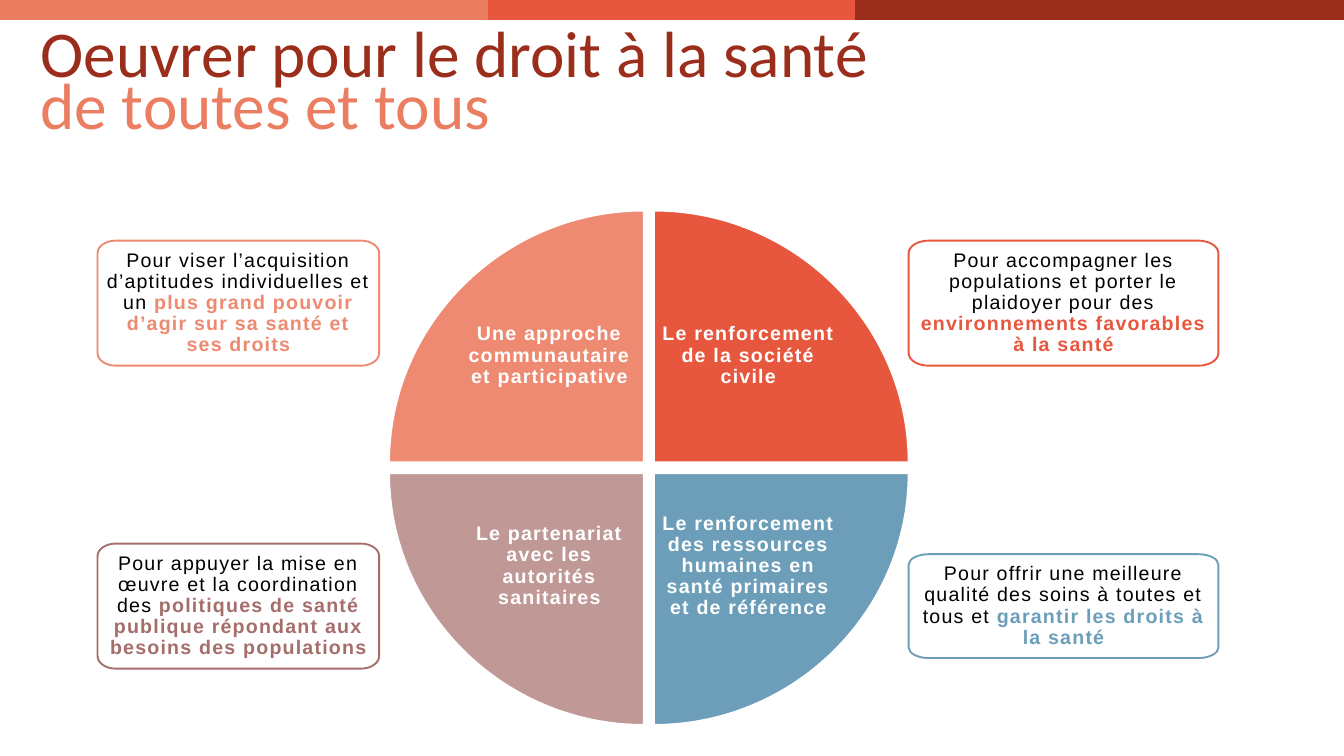
from dataclasses import dataclass

import lxml.etree
import pptx
import pptx.dml.color
import pptx.enum.shapes
import pptx.enum.text
import pptx.oxml.ns
import pptx.util

Pt = pptx.util.Pt
qn = pptx.oxml.ns.qn
Point = tuple[float, float]


@dataclass(frozen=True)
class Theme:
    white: str = "FFFFFF"
    black: str = "000000"
    brick: str = "9B2D1B"
    coral: str = "EB7D61"
    salmon: str = "ED8A71"
    red: str = "E7573E"
    blue: str = "6C9EB9"
    mauve: str = "A56E6B"
    pale_mauve: str = "C09997"
    body_font: str = "Arial"
    title_font: str = "Calibri"
    body_size: float = 21
    title_size: float = 70
    title_spacing: float = 56
    letter_spacing: float = 1.3


@dataclass(frozen=True)
class Card:
    left: float
    top: float
    width: float
    height: float
    color: str
    lead: str
    emphasis: str


@dataclass(frozen=True)
class Quarter:
    side_x: int
    side_y: int
    color: str
    text: str
    lift: float = 0


@dataclass(frozen=True)
class Band:
    start: float
    end: float
    color: str


THEME = Theme()

BANDS = [
    Band(0, 555, THEME.coral),
    Band(885, 1440, THEME.brick),
    Band(522.7, 916.6, THEME.red),
]

CARDS = [
    Card(973.6, 257.8, 331.8, 134, THEME.red,
         "Pour accompagner les populations et porter le plaidoyer pour des ",
         "environnements favorables à la santé"),
    Card(104.5, 257.8, 301.7, 134, THEME.salmon,
         "Pour viser l’acquisition d’aptitudes individuelles et un ",
         "plus grand pouvoir d’agir sur sa santé et ses droits"),
    Card(973.6, 593.8, 331.8, 111.3, THEME.blue,
         "Pour offrir une meilleure qualité des soins à toutes et tous et ",
         "garantir les droits à la santé"),
    Card(104.5, 582.4, 301.7, 134, THEME.mauve,
         "Pour appuyer la mise en œuvre et la coordination des ",
         "politiques de santé publique répondant aux besoins des populations"),
]

QUARTERS = [
    Quarter(-1, -1, THEME.salmon, "Une approche communautaire et participative", 29.5),
    Quarter(1, -1, THEME.red, "Le renforcement de la société civile", 29.5),
    Quarter(1, 1, THEME.blue,
            "Le renforcement des ressources humaines en santé primaires et de référence"),
    Quarter(-1, 1, THEME.pale_mauve, "Le partenariat avec les autorités sanitaires"),
]

CENTER_X, CENTER_Y = 695.2, 501.2
HALF_GAP_X, HALF_GAP_Y = 5.4, 5.75
RADIUS_X, RADIUS_Y = 272.9, 269.8
OUTER_INSET, INNER_INSET = 79.2, 8.6
CARD_INSET = 10
CORNER_X, CORNER_Y = 0.065, 0.1
ARC_PULL = 0.55


def rgb(color: str) -> pptx.dml.color.RGBColor:
    return pptx.dml.color.RGBColor.from_string(color)


def toward(start: Point, end: Point) -> Point:
    return tuple(a + (b - a) * ARC_PULL for a, b in zip(start, end))


def arc(start: Point, bend: Point, end: Point) -> list[Point]:
    return [toward(start, bend), toward(end, bend), end]


def add_outline(slide, start: Point, steps: list[list[Point]], fill: str, line: str):
    builder = slide.shapes.build_freeform(Pt(start[0]), Pt(start[1]))
    builder.add_line_segments([(Pt(x), Pt(y)) for step in steps for x, y in step], close=True)
    shape = builder.convert_to_shape()
    segments = iter(list(shape._element.iter(qn("a:lnTo"))))
    for step in steps:
        group = [next(segments) for _ in step]
        if len(group) == 3:
            curve = lxml.etree.Element(qn("a:cubicBezTo"))
            group[0].addprevious(curve)
            for segment in group:
                curve.append(segment[0])
                segment.getparent().remove(segment)
    shape.shadow.inherit = False
    shape.fill.solid()
    shape.fill.fore_color.rgb = rgb(fill)
    shape.line.color.rgb = rgb(line)
    shape.line.width = Pt(2)
    return shape


def set_frame(frame, left: float, top: float, right: float, bottom: float, anchor) -> None:
    frame.word_wrap = True
    frame.vertical_anchor = anchor
    frame.margin_left, frame.margin_top = Pt(left), Pt(top)
    frame.margin_right, frame.margin_bottom = Pt(right), Pt(bottom)


def add_run(paragraph, text: str, font: str, size: float, color: str,
            bold: bool = False, spacing: float = 0) -> None:
    run = paragraph.add_run()
    run.text = text
    run.font.name = font
    run.font.size = Pt(size)
    run.font.bold = bold
    run.font.color.rgb = rgb(color)
    if spacing:
        run.font._element.set("spc", str(round(spacing * 100)))


def add_body_run(paragraph, text: str, color: str, bold: bool) -> None:
    paragraph.alignment = pptx.enum.text.PP_ALIGN.CENTER
    paragraph.line_spacing = 0.9
    add_run(paragraph, text, THEME.body_font, THEME.body_size, color, bold,
            THEME.letter_spacing)


def draw_card(slide, card: Card) -> None:
    left, top = card.left, card.top
    right, bottom = left + card.width, top + card.height
    dx, dy = card.width * CORNER_X, card.height * CORNER_Y
    start = (left, top + dy)
    steps = [
        arc(start, (left, top), (left + dx, top)),
        [(right - dx, top)],
        arc((right - dx, top), (right, top), (right, top + dy)),
        [(right, bottom - dy)],
        arc((right, bottom - dy), (right, bottom), (right - dx, bottom)),
        [(left + dx, bottom)],
        arc((left + dx, bottom), (left, bottom), (left, bottom - dy)),
    ]
    shape = add_outline(slide, start, steps, THEME.white, card.color)
    fill_color = shape._element.spPr.find(qn("a:solidFill"))[0]
    lxml.etree.SubElement(fill_color, qn("a:alpha")).set("val", "90000")
    set_frame(shape.text_frame, CARD_INSET, CARD_INSET, CARD_INSET, CARD_INSET,
              pptx.enum.text.MSO_ANCHOR.MIDDLE)
    paragraph = shape.text_frame.paragraphs[0]
    add_body_run(paragraph, card.lead, THEME.black, False)
    add_body_run(paragraph, card.emphasis, card.color, True)


def draw_quarter(slide, quarter: Quarter) -> None:
    corner_x = CENTER_X + quarter.side_x * HALF_GAP_X
    corner_y = CENTER_Y + quarter.side_y * HALF_GAP_Y
    outer_x = corner_x + quarter.side_x * RADIUS_X
    outer_y = corner_y + quarter.side_y * RADIUS_Y
    side, tip = (outer_x, corner_y), (corner_x, outer_y)
    steps = [arc(side, (outer_x, outer_y), tip), [(corner_x, corner_y)]]
    shape = add_outline(slide, side, steps, quarter.color, THEME.white)
    left, right = (OUTER_INSET, INNER_INSET) if quarter.side_x < 0 else (INNER_INSET, OUTER_INSET)
    top, bottom = (OUTER_INSET, INNER_INSET) if quarter.side_y < 0 else (INNER_INSET, OUTER_INSET)
    set_frame(shape.text_frame, left, top, right, bottom + quarter.lift,
              pptx.enum.text.MSO_ANCHOR.MIDDLE)
    add_body_run(shape.text_frame.paragraphs[0], quarter.text, THEME.white, True)


def draw_title(slide) -> None:
    box = slide.shapes.add_textbox(Pt(43.2), Pt(41), Pt(1023), Pt(123))
    frame = box.text_frame
    set_frame(frame, 0, 0, 0, 0, pptx.enum.text.MSO_ANCHOR.TOP)
    lines = [("Oeuvrer pour le droit à la santé", THEME.brick),
             ("de toutes et tous", THEME.coral)]
    for index, (text, color) in enumerate(lines):
        paragraph = frame.add_paragraph() if index else frame.paragraphs[0]
        paragraph.line_spacing = Pt(THEME.title_spacing)
        add_run(paragraph, text, THEME.title_font, THEME.title_size, color)


def draw_band(slide, band: Band) -> None:
    connector = slide.shapes.add_connector(
        pptx.enum.shapes.MSO_CONNECTOR.STRAIGHT,
        Pt(band.start), Pt(10.8), Pt(band.end), Pt(10.8))
    connector.line.color.rgb = rgb(band.color)
    connector.line.width = Pt(21.75)
    lxml.etree.SubElement(connector._element.spPr, qn("a:effectLst"))


def main() -> None:
    presentation = pptx.Presentation()
    presentation.slide_width, presentation.slide_height = Pt(1440), Pt(810)
    slide = presentation.slides.add_slide(presentation.slide_layouts[6])
    for card in CARDS:
        draw_card(slide, card)
    for quarter in QUARTERS:
        draw_quarter(slide, quarter)
    draw_title(slide)
    for band in BANDS:
        draw_band(slide, band)
    presentation.save("out.pptx")


if __name__ == "__main__":
    main()
